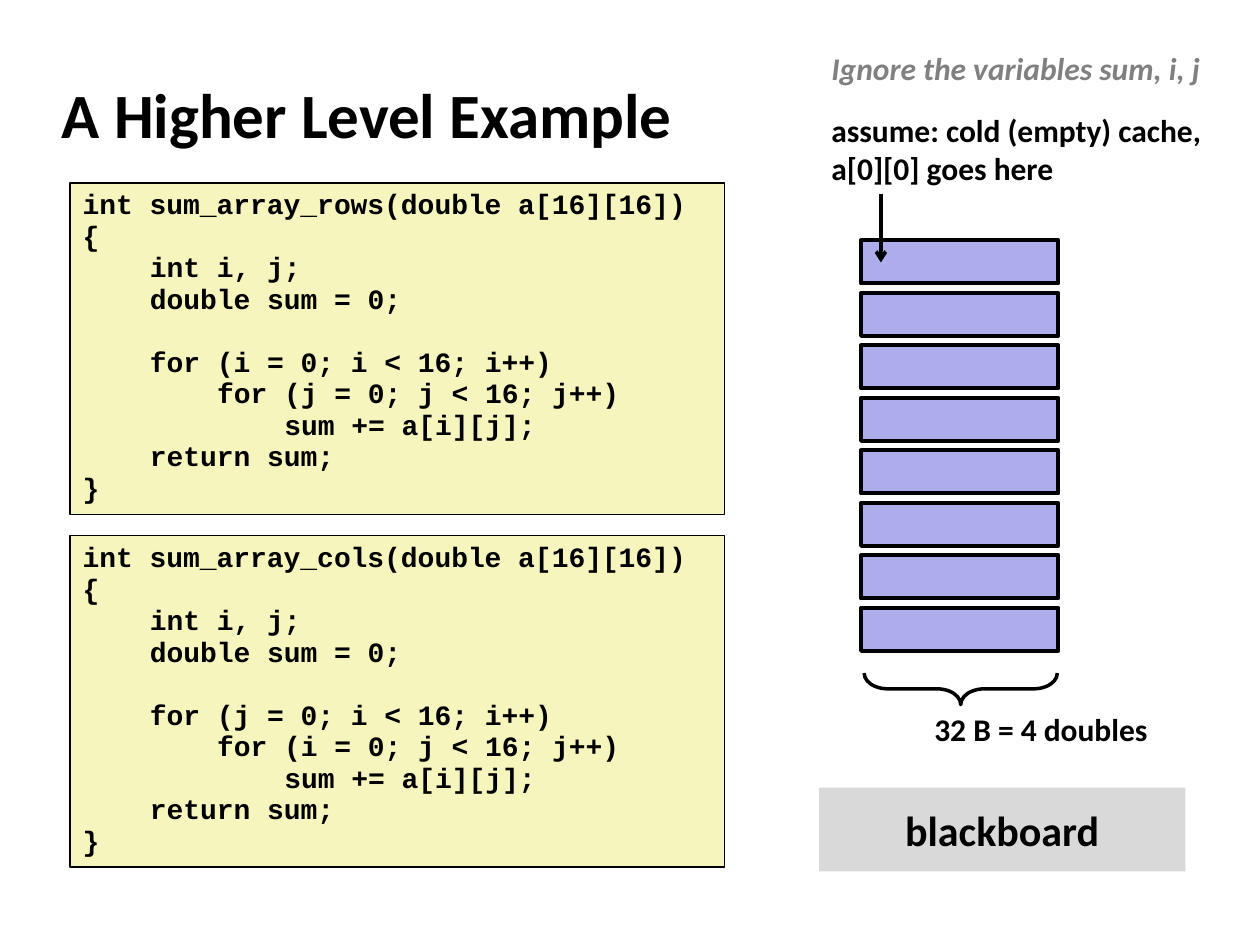
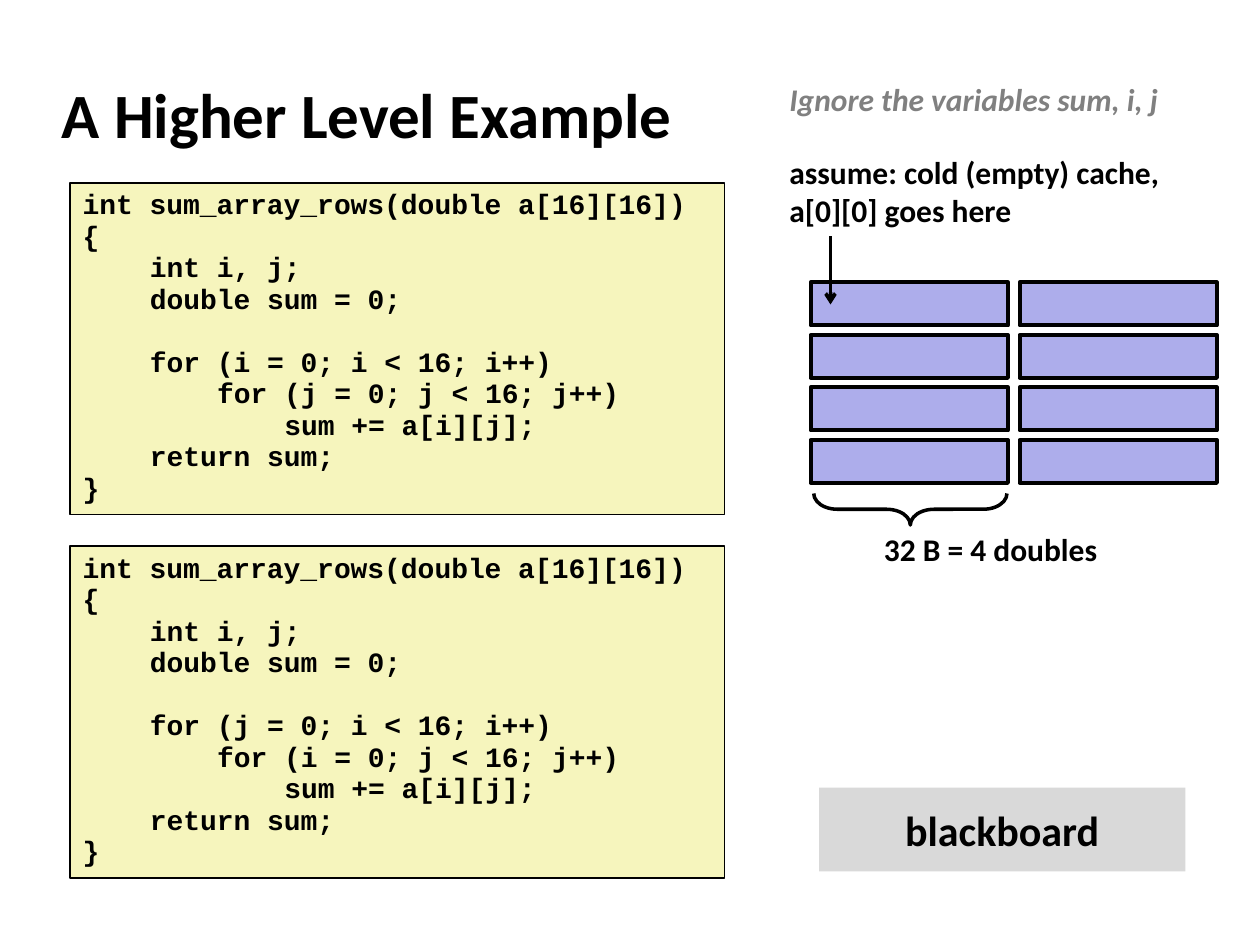
from lxml import etree
from pptx import Presentation
from pptx import util as u
from pptx.dml.color import RGBColor
from pptx.enum import shapes, text
from pptx.oxml import ns

PX = u.Inches(1) // 120
BLACK = RGBColor(0x00, 0x00, 0x00)
GRAY = RGBColor(0x80, 0x80, 0x80)
BOARD = RGBColor(0xD9, 0xD9, 0xD9)
CODE_FILL = RGBColor(0xF6, 0xF5, 0xBD)
CACHE_FILL = RGBColor(0xAD, 0xAD, 0xEB)

CODE_LINE = u.Pt(18)
CODE_CHARACTER = u.Pt(9.6)
BLOCK_WIDTH, BLOCK_HEIGHT = 188, 41
COLUMN_STEP, ROW_STEP = 199, 50

CODE = """int sum_array_{name}(double a[16][16])
{{
    int i, j;
    double sum = 0;

    for ({outer} = 0; i < 16; i++)
        for ({inner} = 0; j < 16; j++)
            sum += a[i][j];
    return sum;
}}"""


class Deck:
    def __init__(self):
        self.presentation = Presentation()
        self.presentation.slide_width = 1200 * PX
        self.presentation.slide_height = 900 * PX
        self.slide = None

    def new_slide(self, title):
        layout = self.presentation.slide_layouts[6]
        self.slide = self.presentation.slides.add_slide(layout)
        box = self.label(title, 47, 58, 996, 100, size=36)
        box.text_frame.vertical_anchor = text.MSO_ANCHOR.MIDDLE

    def style_font(self, paragraph, size, color=BLACK, name="Calibri"):
        font = paragraph.font
        font.name, font.size, font.bold = name, u.Pt(size), True
        font.color.rgb = color

    def label(self, content, left, top, width, height, size=18, color=BLACK, italic=None):
        box = self.slide.shapes.add_textbox(left * PX, top * PX, width * PX, height * PX)
        box.text_frame.word_wrap = False
        box.text_frame.text = content
        for paragraph in box.text_frame.paragraphs:
            self.style_font(paragraph, size, color)
            paragraph.font.italic = italic
        return box

    def shape(self, kind, left, top, width, height, fill=None, line=None):
        shape = self.slide.shapes.add_shape(
            kind, left * PX, top * PX, width * PX, height * PX)
        shape.shadow.inherit = False
        if fill is None:
            shape.fill.background()
        else:
            shape.fill.solid()
            shape.fill.fore_color.rgb = fill
        if line is None:
            shape.line.fill.background()
        else:
            shape.line.color.rgb = BLACK
            shape.line.width = u.Pt(line)
        return shape

    def rectangle(self, *bounds, **style):
        return self.shape(shapes.MSO_SHAPE.RECTANGLE, *bounds, **style)

    def code(self, source, top):
        """Draw a listing; indentation and empty lines become paragraph spacing."""
        frame = self.rectangle(67, top, 623, 316, fill=CODE_FILL, line=1).text_frame
        frame.word_wrap = True
        frame.vertical_anchor = text.MSO_ANCHOR.TOP
        lines = source.split("\n")
        frame.text = "\n".join(line.strip() for line in lines if line)
        paragraphs = iter(frame.paragraphs)
        space = 0
        for line in lines:
            if not line:
                space = CODE_LINE
                continue
            paragraph = next(paragraphs)
            self.style_font(paragraph, 16, name="Courier New")
            paragraph.alignment = text.PP_ALIGN.LEFT
            paragraph.line_spacing = CODE_LINE
            paragraph.space_before = space
            indent = (len(line) - len(line.lstrip())) * CODE_CHARACTER
            paragraph._p.get_or_add_pPr().set("marL", str(indent))
            space = 0

    def arrow(self, x, top, bottom):
        connector = self.slide.shapes.add_connector(
            shapes.MSO_CONNECTOR.STRAIGHT, x * PX, top * PX, x * PX, bottom * PX)
        connector.line.color.rgb = BLACK
        connector.line.width = u.Pt(2)
        etree.SubElement(connector.line._get_or_add_ln(), ns.qn("a:tailEnd"), type="arrow")
        etree.SubElement(connector._element.spPr, ns.qn("a:effectLst"))

    def brace(self, center_x, center_y):
        """Draw a brace whose tip points down."""
        brace = self.shape(shapes.MSO_SHAPE.LEFT_BRACE,
                           center_x - 15, center_y - 92, 30, 184, line=2)
        brace.adjustments[0] = 0.75
        brace.adjustments[1] = 0.5
        brace.rotation = 270

    def cache(self, left, top, rows, columns, brace_y, note_left):
        for column in range(columns):
            for row in range(rows):
                self.rectangle(left + column * COLUMN_STEP, top + row * ROW_STEP,
                               BLOCK_WIDTH, BLOCK_HEIGHT, fill=CACHE_FILL, line=2.25)
        self.brace(left + 95, brace_y)
        self.label("32 B = 4 doubles", left + 58, brace_y + 14, 229, 48)
        self.label("assume: cold (empty) cache,\na[0][0] goes here",
                   note_left, top - 129, 379, 85)
        self.arrow(left + 19, top - 44, top + 21)

    def blackboard(self):
        frame = self.rectangle(780, 750, 349, 80, fill=BOARD).text_frame
        frame.text = "blackboard"
        frame.vertical_anchor = text.MSO_ANCHOR.MIDDLE
        frame.paragraphs[0].alignment = text.PP_ALIGN.CENTER
        self.style_font(frame.paragraphs[0], 24)

    def example(self, second_name, second_top, hint_top, note_left, **cache):
        self.new_slide("A Higher Level Example")
        self.code(CODE.format(name="rows", outer="i", inner="j"), 174)
        self.code(CODE.format(name=second_name, outer="j", inner="i"), second_top)
        self.cache(note_left=note_left, **cache)
        self.blackboard()
        self.label("Ignore the variables sum, i, j", note_left, hint_top, 379, 48,
                   color=GRAY, italic=True)


def main():
    deck = Deck()
    deck.example("cols", second_top=510, hint_top=41, note_left=780,
                 left=820, top=229, rows=8, columns=1, brace_y=656)
    deck.example("rows", second_top=520, hint_top=70, note_left=740,
                 left=772, top=269, rows=4, columns=2, brace_y=485)
    deck.presentation.save("out.pptx")


if __name__ == "__main__":
    main()
